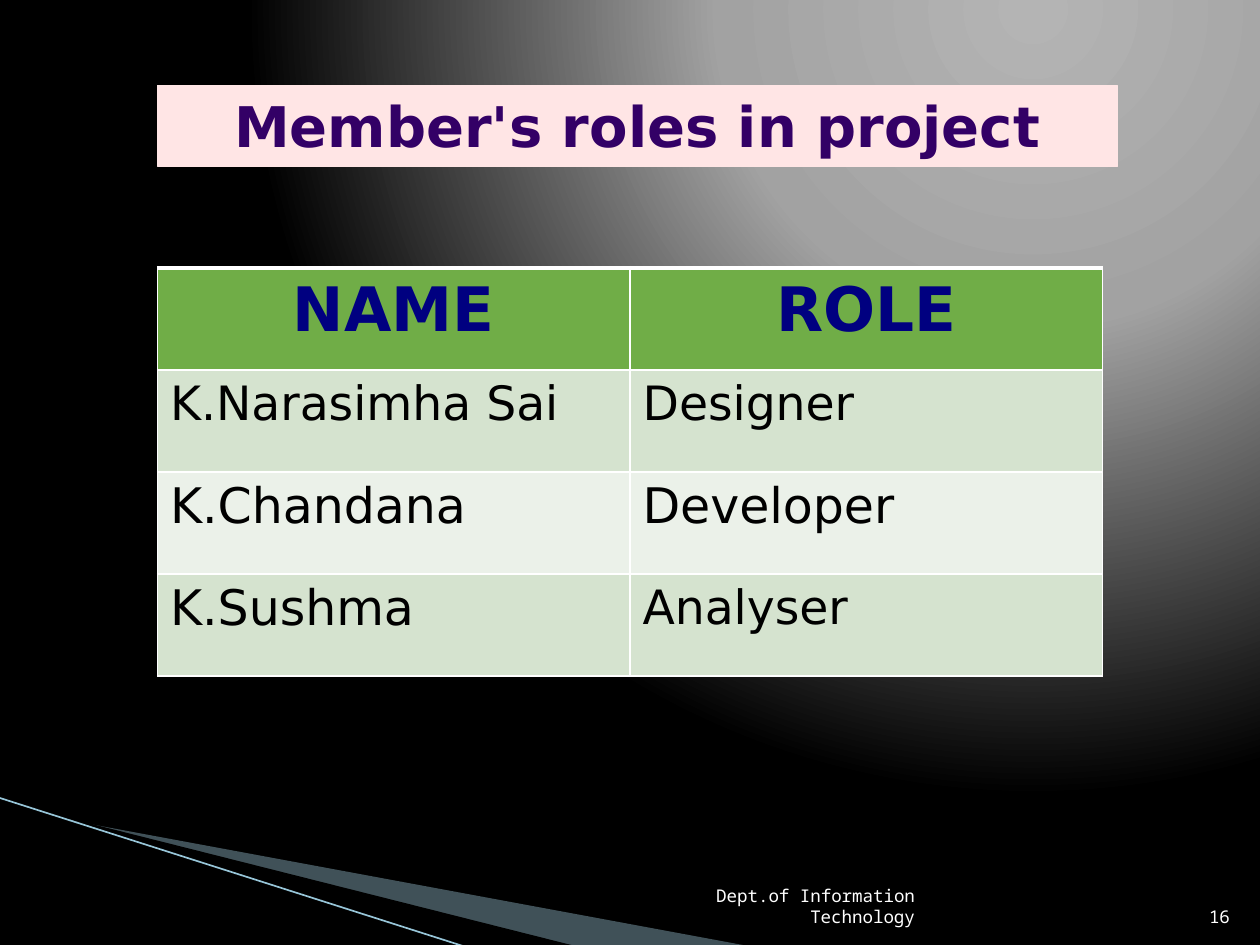
from dataclasses import dataclass

from lxml import etree
from pptx import Presentation
from pptx.dml.color import RGBColor
from pptx.enum.shapes import MSO_CONNECTOR, MSO_SHAPE
from pptx.enum.text import MSO_ANCHOR as Anchor, MSO_AUTO_SIZE, PP_ALIGN as Align
from pptx.oxml import parse_xml
from pptx.oxml.ns import nsdecls, qn
from pptx.util import Pt

BLACK = RGBColor(0x00, 0x00, 0x00)
WHITE = RGBColor(0xFF, 0xFF, 0xFF)
NAVY = RGBColor(0x00, 0x00, 0x80)
PURPLE = RGBColor(0x33, 0x00, 0x66)
PINK = RGBColor(0xFF, 0xE5, 0xE5)
GREEN = RGBColor(0x70, 0xAD, 0x47)
BAND_DARK = RGBColor(0xD5, 0xE3, 0xCF)
BAND_LIGHT = RGBColor(0xEB, 0xF1, 0xE9)
SWOOSH = RGBColor(0xA0, 0xCB, 0xDC)
SWOOSH_LINE = RGBColor(0x97, 0xC5, 0xD8)

SANS = "DejaVu Sans"
MONO = "Noto Sans Mono"
GRADIENT_STOPS = ((0, "B4B4B4"), (40, "A2A2A2"), (100, "000000"))


@dataclass
class Wedge:
    points: list[tuple[float, float]]
    color: RGBColor
    opacity: int = 100


@dataclass
class Member:
    name: str
    role: str
    name_size: float
    role_size: float


@dataclass
class Footer:
    text: str
    left: float
    width: float


WEDGES = [
    Wedge([(39.6, 468.7), (428.4, 540.7), (328.3, 540.7), (39.6, 468)], SWOOSH, 40),
    Wedge([(38.2, 467.3), (329, 540.7), (267.8, 541.4), (38.9, 468)], BLACK),
]
MEMBERS = [
    Member("K.Narasimha Sai", "Designer", 27, 27),
    Member("K.Chandana", "Developer", 28, 28),
    Member("K.Sushma", "Analyser", 28, 27),
]
FOOTERS = [
    Footer("Dept.of Information Technology", 344.9, 185),
    Footer("16", 681.1, 28.8),
]


def write(tf, text: str, *, size: float, font: str = SANS, color: RGBColor = BLACK,
          bold: bool = False, align: Align = Align.LEFT) -> None:
    p = tf.paragraphs[0]
    p.alignment = align
    r = p.add_run()
    r.text = text
    r.font.size = Pt(size)
    r.font.name = font
    r.font.bold = bold
    r.font.color.rgb = color


def set_background(s) -> None:
    """Fill the slide with a circular gradient centred near the top right."""
    stops = "".join(f'<a:gs pos="{pos * 1000}"><a:srgbClr val="{color}"/></a:gs>'
                    for pos, color in GRADIENT_STOPS)
    bg = parse_xml(
        f'<p:bg {nsdecls("p", "a")}><p:bgPr><a:gradFill rotWithShape="1">'
        f'<a:gsLst>{stops}</a:gsLst><a:path path="circle">'
        '<a:fillToRect l="65000" t="0" r="0" b="98000"/></a:path>'
        '</a:gradFill><a:effectLst/></p:bgPr></p:bg>')
    s.element.find(qn("p:cSld")).insert(0, bg)


def add_wedge(s, wedge: Wedge) -> None:
    first, *rest = [(Pt(x), Pt(y)) for x, y in wedge.points]
    builder = s.shapes.build_freeform(*first)
    builder.add_line_segments(rest, close=True)
    sp = builder.convert_to_shape()
    sp.shadow.inherit = False
    sp.fill.solid()
    sp.fill.fore_color.rgb = wedge.color
    sp.line.fill.background()
    if wedge.opacity < 100:
        color = sp.element.spPr.find(qn("a:solidFill"))[0]
        etree.SubElement(color, qn("a:alpha"), val=str(wedge.opacity * 1000))


def add_swoosh_line(s) -> None:
    line = s.shapes.add_connector(MSO_CONNECTOR.STRAIGHT,
                                  Pt(-0.7), Pt(455.8), Pt(267.1), Pt(541.4))
    line.line.color.rgb = SWOOSH_LINE
    line.line.width = Pt(0.95)
    etree.SubElement(line.element.spPr, qn("a:effectLst"))


def add_footer(s, footer: Footer) -> None:
    sp = s.shapes.add_textbox(Pt(footer.left), Pt(504.7), Pt(footer.width), Pt(28.8))
    tf = sp.text_frame
    tf.word_wrap = True
    tf.vertical_anchor = Anchor.BOTTOM
    write(tf, footer.text, size=10, font=MONO, color=WHITE, align=Align.RIGHT)


def set_borders(cell, top: float = 1) -> None:
    """Draw white borders, with the top one as thick as asked."""
    tc_pr = cell._tc.get_or_add_tcPr()
    for i, (side, width) in enumerate((("L", 1), ("R", 1), ("T", top), ("B", 1))):
        tc_pr.insert(i, parse_xml(
            f'<a:ln{side} {nsdecls("a")} w="{Pt(width)}"><a:solidFill>'
            f'<a:srgbClr val="{WHITE}"/></a:solidFill></a:ln{side}>'))


def fill_cell(cell, text: str, fill: RGBColor, top: float = 1, **text_format) -> None:
    cell.fill.solid()
    cell.fill.fore_color.rgb = fill
    set_borders(cell, top)
    write(cell.text_frame, text, **text_format)


def add_roles_table(s) -> None:
    rows = len(MEMBERS) + 1
    table = s.shapes.add_table(rows, 2, Pt(90), Pt(153.2), Pt(540), Pt(58.3 * rows)).table
    table.first_row = table.horz_banding = False
    for col, heading in enumerate(("NAME", "ROLE")):
        fill_cell(table.cell(0, col), heading, GREEN, top=3, size=35, color=NAVY,
                  bold=True, align=Align.CENTER)
    for row, m in enumerate(MEMBERS, start=1):
        band = BAND_DARK if row % 2 else BAND_LIGHT
        fill_cell(table.cell(row, 0), m.name, band, size=m.name_size)
        fill_cell(table.cell(row, 1), m.role, band, size=m.role_size)


def add_title(s) -> None:
    sp = s.shapes.add_shape(MSO_SHAPE.RECTANGLE, Pt(90), Pt(49), Pt(548.6), Pt(46))
    sp.shadow.inherit = False
    sp.fill.solid()
    sp.fill.fore_color.rgb = PINK
    sp.line.color.rgb = PINK
    sp.line.width = Pt(0.75)
    tf = sp.text_frame
    tf.word_wrap = True
    tf.auto_size = MSO_AUTO_SIZE.SHAPE_TO_FIT_TEXT
    tf.vertical_anchor = Anchor.TOP
    write(tf, "Member's roles in project", size=32, color=PURPLE, bold=True,
          align=Align.CENTER)


def main() -> None:
    prs = Presentation()
    prs.slide_width, prs.slide_height = Pt(720), Pt(540)
    s = prs.slides.add_slide(prs.slide_layouts[6])
    set_background(s)
    for wedge in WEDGES:
        add_wedge(s, wedge)
    add_swoosh_line(s)
    add_roles_table(s)
    add_title(s)
    for footer in FOOTERS:
        add_footer(s, footer)
    prs.save("out.pptx")


if __name__ == "__main__":
    main()
